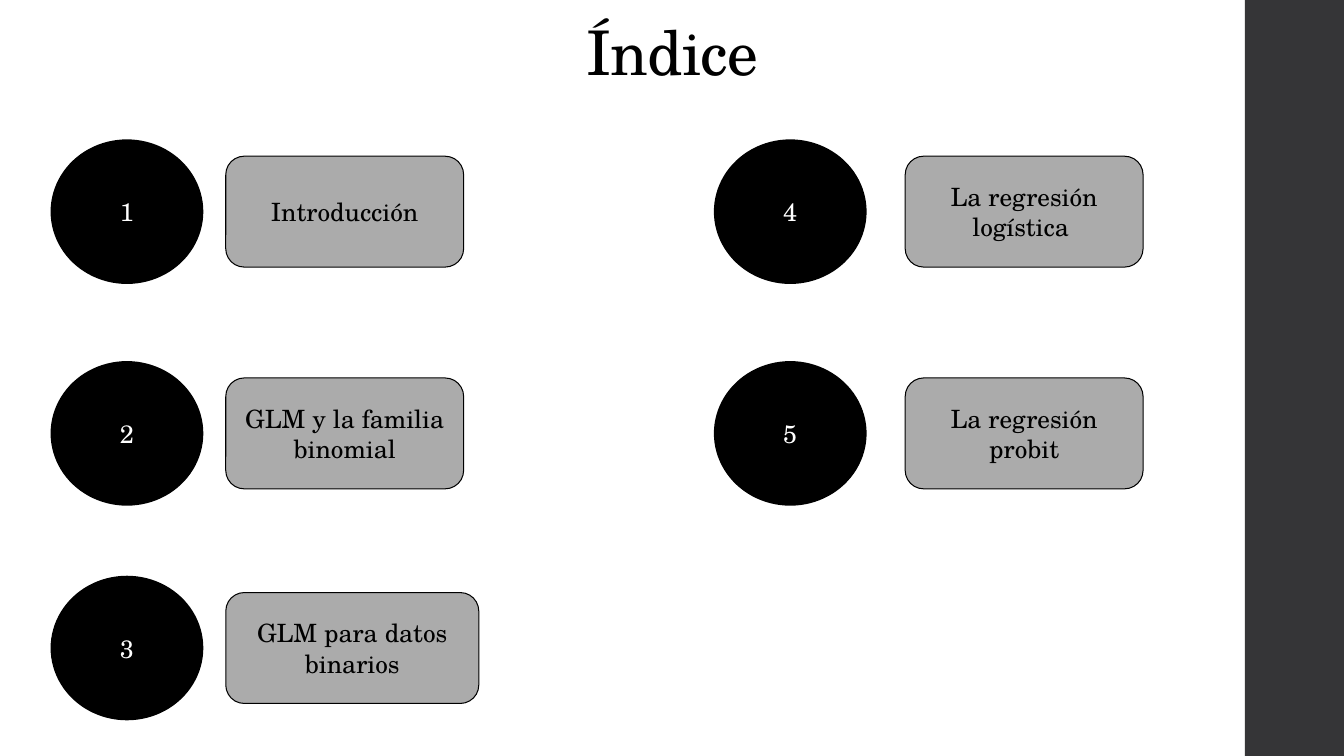
from dataclasses import dataclass

from pptx import Presentation
from pptx.dml.color import RGBColor
from pptx.enum.shapes import MSO_SHAPE as Preset
from pptx.enum.text import MSO_ANCHOR as Anchor, PP_ALIGN as Align
from pptx.oxml.ns import qn
from pptx.shapes.autoshape import Shape
from pptx.slide import Slide
from pptx.util import Pt


@dataclass(frozen=True)
class Theme:
    """Colours, font and type sizes of the slide."""
    font: str = "TeX Gyre Schola"
    black: str = "000000"
    white: str = "FFFFFF"
    grey: str = "ABABAB"
    side_bar: str = "353537"
    title_size: float = 44
    body_size: float = 18


@dataclass(frozen=True)
class Area:
    """Left, top, width and height in points."""
    left: float
    top: float
    width: float
    height: float


@dataclass(frozen=True)
class Topic:
    """One numbered entry of the index and its place in the grid."""
    label: str
    column: int
    row: int
    label_width: float = 169.9


THEME = Theme()
CIRCLE_LEFTS = (36.7, 510.5)
LABEL_LEFTS = (161.3, 646.6)
ROW_TOPS = (100.1, 258.5, 411.8)
CIRCLE_WIDTH, CIRCLE_HEIGHT = 108, 102.2
LABEL_HEIGHT = 79.2
TOPICS = (
    Topic("Introducción", 0, 0),
    Topic("GLM y la familia binomial", 0, 1),
    Topic("GLM para datos binarios", 0, 2, 180.7),
    Topic("La regresión logística ", 1, 0),
    Topic("La regresión probit", 1, 1),
)


def write(box: Shape, text: str, size: float, color: str, anchor: Anchor) -> None:
    """Put one centred paragraph into a box."""
    frame = box.text_frame
    frame.word_wrap = True
    frame.vertical_anchor = anchor
    para = frame.paragraphs[0]
    para.text = text
    para.alignment = Align.CENTER
    for span in para.runs:
        span.font.name = THEME.font
        span.font.size = Pt(size)
        span.font.color.rgb = RGBColor.from_string(color)


def add_box(page: Slide, preset: Preset, area: Area, fill: str, line_width: float = 0) -> Shape:
    """Draw a filled shape, outlined in black when a line width is given."""
    box = page.shapes.add_shape(
        preset, Pt(area.left), Pt(area.top), Pt(area.width), Pt(area.height))
    box.shadow.inherit = False
    box.fill.solid()
    box.fill.fore_color.rgb = RGBColor.from_string(fill)
    if line_width:
        box.line.color.rgb = RGBColor.from_string(THEME.black)
        box.line.width = Pt(line_width)
    else:
        box.line.fill.background()
    return box


def add_title(page: Slide, text: str) -> None:
    """Write the slightly condensed slide title."""
    box = page.shapes.add_textbox(Pt(98.6), Pt(0), Pt(763.2), Pt(67))
    write(box, text, THEME.title_size, THEME.black, Anchor.BOTTOM)
    box.text_frame.paragraphs[0].line_spacing = 0.9
    for properties in box.element.iter(qn("a:rPr")):
        properties.set("spc", "-50")


def add_topic(page: Slide, number: int, topic: Topic) -> None:
    """Draw a numbered circle and its label, centred on the same height."""
    top = ROW_TOPS[topic.row]
    circle_area = Area(CIRCLE_LEFTS[topic.column], top, CIRCLE_WIDTH, CIRCLE_HEIGHT)
    circle = add_box(page, Preset.OVAL, circle_area, THEME.black, 1.1)
    write(circle, str(number), THEME.body_size, THEME.white, Anchor.MIDDLE)
    label_top = top + (CIRCLE_HEIGHT - LABEL_HEIGHT) / 2
    label_area = Area(LABEL_LEFTS[topic.column], label_top, topic.label_width, LABEL_HEIGHT)
    label = add_box(page, Preset.ROUNDED_RECTANGLE, label_area, THEME.grey, 0.75)
    write(label, topic.label, THEME.body_size, THEME.black, Anchor.MIDDLE)


def main() -> None:
    """Build the index slide and save the deck."""
    deck = Presentation()
    deck.slide_width, deck.slide_height = Pt(960), Pt(540)
    page = deck.slides.add_slide(deck.slide_layouts[6])
    add_box(page, Preset.RECTANGLE, Area(889.2, 0, 70.8, 540), THEME.side_bar)
    add_title(page, "Índice")
    for number, topic in enumerate(TOPICS, start=1):
        add_topic(page, number, topic)
    deck.save("out.pptx")


if __name__ == "__main__":
    main()
